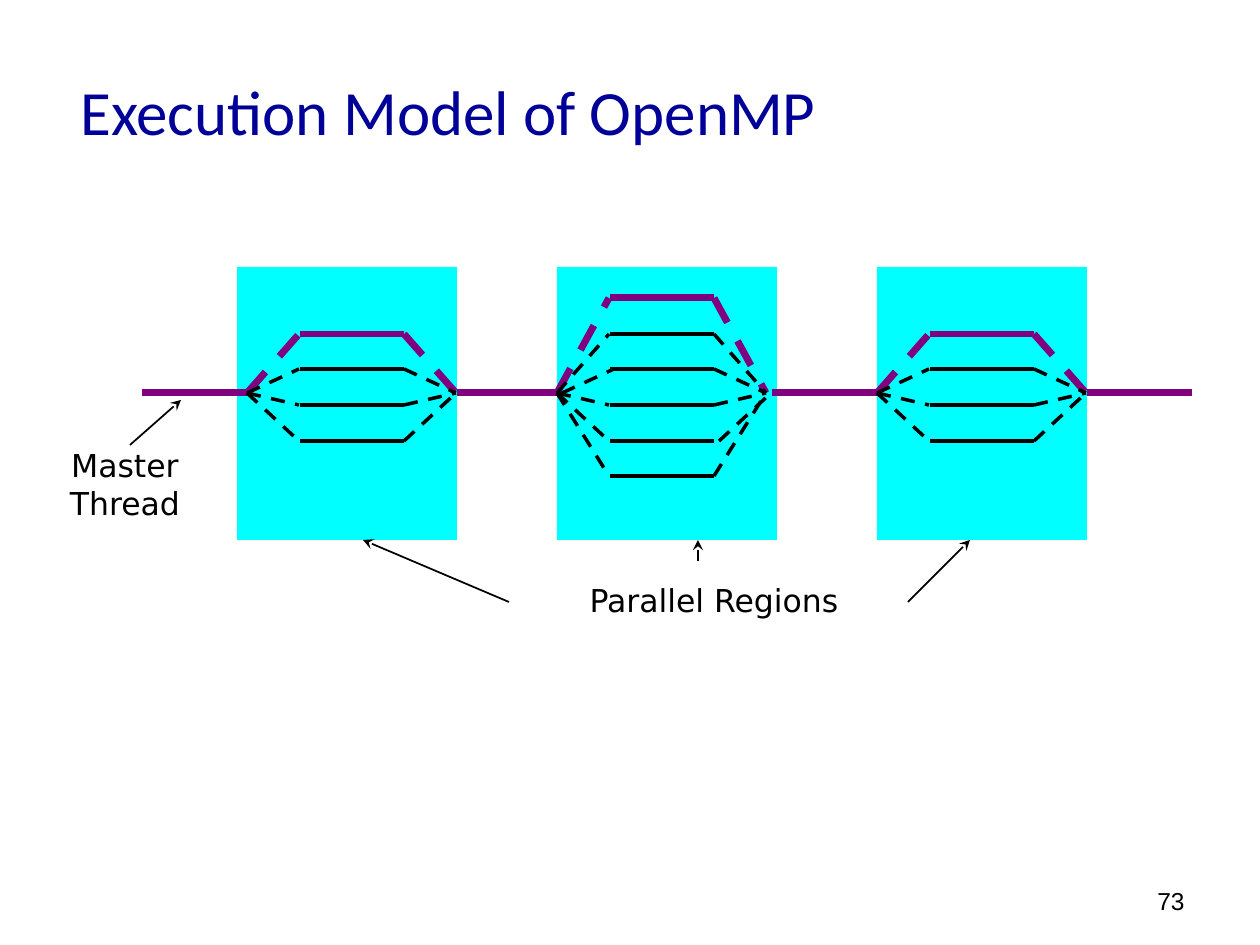
from dataclasses import dataclass

from lxml.etree import SubElement
from pptx import Presentation
from pptx.dml.color import RGBColor
from pptx.enum.dml import MSO_LINE_DASH_STYLE as Dash
from pptx.enum.shapes import MSO_CONNECTOR as Conn, MSO_SHAPE as Shape
from pptx.enum.text import MSO_ANCHOR as Anchor, PP_ALIGN as Align
from pptx.oxml.ns import qn
from pptx.util import Pt

PX = 914400 / 126
CYAN = RGBColor(0x00, 0xFF, 0xFF)
PURPLE = RGBColor(0x80, 0x00, 0x80)
NAVY = RGBColor(0x00, 0x00, 0x99)
BLACK = RGBColor(0x00, 0x00, 0x00)

TRUNK_Y, TRUNK_LEFT, TRUNK_LENGTH, TRUNK_STEP = 393, 142, 105, 315
REGION_TOP, REGION_HEIGHT = 267, 273
THREAD_TOP, THREAD_GAP = 298, 35.7
THREAD_START, THREAD_END, JOIN = 53, 157, 209
NUDGE = 5


@dataclass(frozen=True)
class Region:
    left: int
    width: int
    fork: int
    rows: range
    late_fork: int = -1
    late_join: int = -1


@dataclass(frozen=True)
class Label:
    text: str
    box: tuple[int, int, int, int]
    font: dict
    para: dict
    anchor: Anchor = Anchor.TOP


@dataclass(frozen=True)
class Pointer:
    start: tuple[int, int]
    end: tuple[int, int]


REGIONS = [
    Region(237, 220, 247, range(1, 5)),
    Region(557, 220, 557, range(6), late_fork=2, late_join=4),
    Region(877, 210, 877, range(1, 5)),
]

CAPTION = {"name": "DejaVu Sans", "size": Pt(18)}
LABELS = [
    Label("73", (903, 876, 294, 50), {"name": "Arial", "size": Pt(14)},
          {"alignment": Align.RIGHT}, Anchor.MIDDLE),
    Label("Execution Model of OpenMP", (68, 37, 1071, 157),
          {"name": "Calibri", "size": Pt(36)}, {"line_spacing": 0.87}, Anchor.MIDDLE),
    Label("Parallel Regions", (446, 575, 536, 54), CAPTION, {"alignment": Align.CENTER}),
    Label("Master Thread", (42, 440, 166, 97), CAPTION, {"alignment": Align.CENTER}),
]
TITLE = LABELS[1]

POINTERS = [
    Pointer((908, 602), (970, 540)),
    Pointer((509, 602), (363, 540)),
    Pointer((698, 561), (698, 540)),
    Pointer((130, 445), (181, 400)),
]


def emu(px: float) -> int:
    return round(px * PX)


def set_all(target, values: dict) -> None:
    for name, value in values.items():
        setattr(target, name, value)


def draw_line(shapes, start, end, color=BLACK, width=2, dashed=False):
    ln = shapes.add_connector(Conn.STRAIGHT, *map(emu, (*start, *end)))
    ln.line.color.rgb = color
    ln.line.width = Pt(width)
    if dashed:
        ln.line.dash_style = Dash.DASH
    SubElement(ln._element.spPr, qn("a:effectLst"))
    return ln


def draw_pointer(shapes, pointer: Pointer) -> None:
    ln = draw_line(shapes, pointer.start, pointer.end, width=1)
    SubElement(ln.line._get_or_add_ln(), qn("a:tailEnd"), type="stealth")


def draw_background(shapes, region: Region) -> None:
    box = (region.left, REGION_TOP, region.width, REGION_HEIGHT)
    sp = shapes.add_shape(Shape.RECTANGLE, *map(emu, box))
    sp.shadow.inherit = False
    sp.fill.solid()
    sp.fill.fore_color.rgb = CYAN
    sp.line.fill.background()


def draw_threads(shapes, region: Region) -> None:
    start, end, join = (region.fork + dx for dx in (THREAD_START, THREAD_END, JOIN))
    for row in region.rows:
        y = round(THREAD_TOP + row * THREAD_GAP)
        color, width = (PURPLE, 4) if row == region.rows[0] else (BLACK, 2)
        a = NUDGE if row == region.late_fork else 0
        b = NUDGE if row == region.late_join else 0
        draw_line(shapes, (start, y), (end, y), color, width)
        draw_line(shapes, (region.fork + a, TRUNK_Y), (start - 1 + a, y), color, width, True)
        draw_line(shapes, (end + b, y), (join + b, TRUNK_Y), color, width, True)


def draw_label(shapes, label: Label, color: RGBColor) -> None:
    tf = shapes.add_textbox(*map(emu, label.box)).text_frame
    set_all(tf, {"word_wrap": True, "vertical_anchor": label.anchor})
    p = tf.paragraphs[0]
    set_all(p, label.para)
    r = p.add_run()
    r.text = label.text
    set_all(r.font, label.font)
    r.font.color.rgb = color


def main() -> None:
    prs = Presentation()
    set_all(prs, {"slide_width": emu(1260), "slide_height": emu(945)})
    shapes = prs.slides.add_slide(prs.slide_layouts[6]).shapes

    for region in REGIONS:
        draw_background(shapes, region)
    for i in range(len(REGIONS) + 1):
        x = TRUNK_LEFT + i * TRUNK_STEP
        draw_line(shapes, (x, TRUNK_Y), (x + TRUNK_LENGTH, TRUNK_Y), PURPLE, 4)
    for region in REGIONS:
        draw_threads(shapes, region)
    for pointer in POINTERS:
        draw_pointer(shapes, pointer)
    for label in LABELS:
        draw_label(shapes, label, NAVY if label is TITLE else BLACK)

    prs.save("out.pptx")


if __name__ == "__main__":
    main()
